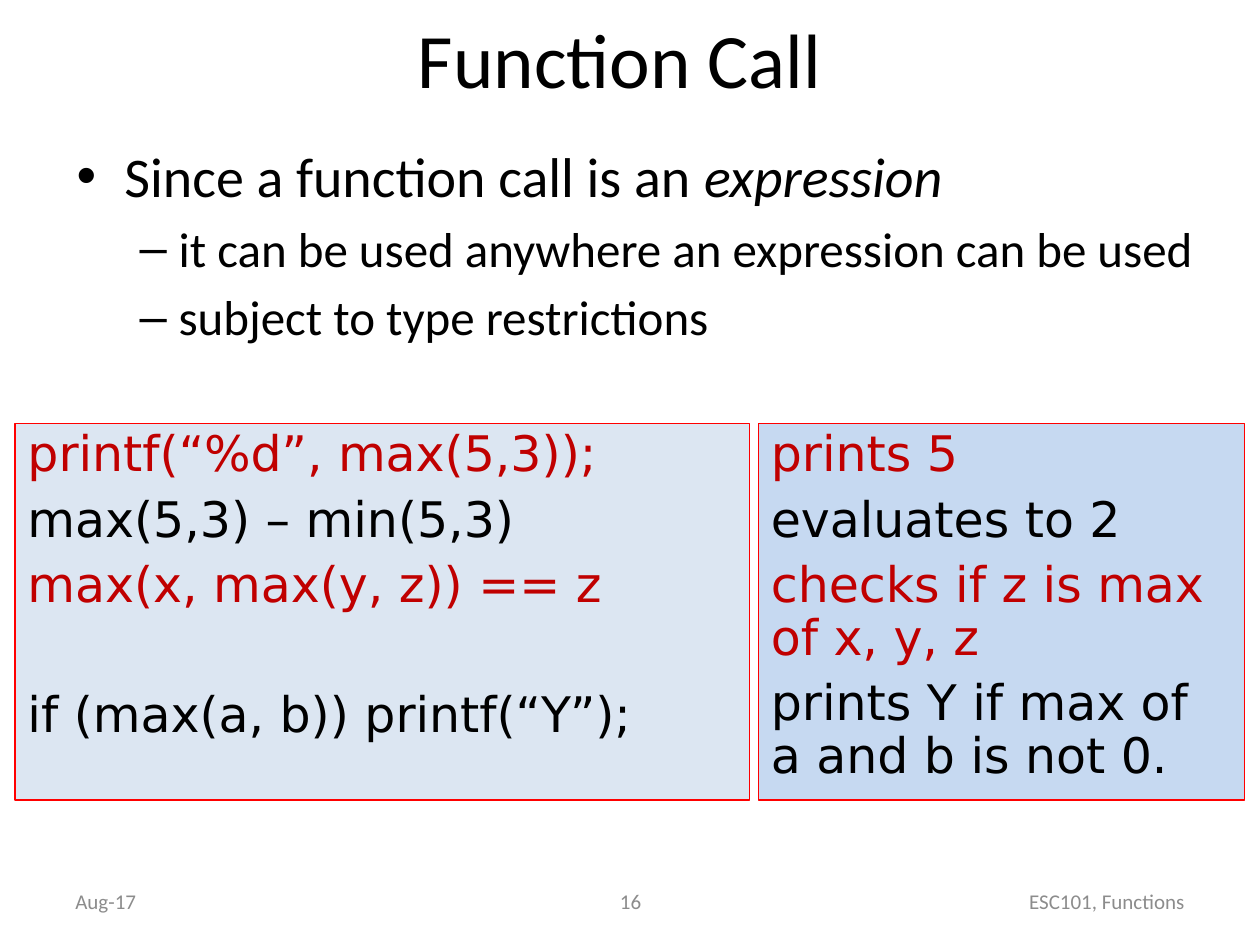
from lxml import etree
from pptx import Presentation
from pptx.dml.color import RGBColor
from pptx.enum.shapes import MSO_SHAPE
from pptx.enum.text import MSO_ANCHOR, PP_ALIGN
from pptx.oxml.ns import qn
from pptx.util import Inches, Pt

RECTANGLE = MSO_SHAPE.RECTANGLE
TOP, MIDDLE = MSO_ANCHOR.TOP, MSO_ANCHOR.MIDDLE
LEFT, CENTER, RIGHT = PP_ALIGN.LEFT, PP_ALIGN.CENTER, PP_ALIGN.RIGHT

BLACK = RGBColor(0x00, 0x00, 0x00)
GREY = RGBColor(0x8C, 0x8C, 0x8C)
RED = RGBColor(0xC0, 0x00, 0x00)
BORDER_RED = RGBColor(0xFF, 0x00, 0x00)
PALE_BLUE = RGBColor(0xDC, 0xE6, 0xF2)
SOFT_BLUE = RGBColor(0xC6, 0xD9, 0xF1)


class SlideBuilder:
    """Draws styled elements on one slide, placed in percent of its size."""

    body_font = "Calibri"
    code_font = "DejaVu Sans"
    code_size = 28

    def __init__(self, prs):
        self.width, self.height = prs.slide_width, prs.slide_height
        self.s = prs.slides.add_slide(prs.slide_layouts[6])

    def place(self, x, y, w, h):
        return [int(share * full / 100) for share, full in
                zip((x, y, w, h), (self.width, self.height) * 2)]

    def style(self, p, font, size, color):
        for r in p.runs:
            r.font.name = font
            r.font.size = Pt(size)
            r.font.color.rgb = color

    def frame(self, area, anchor=TOP):
        tf = self.s.shapes.add_textbox(*self.place(*area)).text_frame
        tf.word_wrap = True
        tf.vertical_anchor = anchor
        return tf

    def label(self, area, text, size, color, align):
        p = self.frame(area, MIDDLE).paragraphs[0]
        p.text = text
        p.alignment = align
        self.style(p, self.body_font, size, color)

    def bullets(self, area, items):
        tf = self.frame(area)
        for i, (level, text, emphasis) in enumerate(items):
            p = tf.add_paragraph() if i else tf.paragraphs[0]
            p.text = text
            if emphasis:
                r = p.add_run()
                r.text = emphasis
                r.font.italic = True
            size, margin, hang, mark = ((32, 0.38, 0.38, "•"), (28, 0.81, 0.31, "–"))[level]
            p.level = level
            p.space_before = Pt(0.2 * size if i else 0)
            pPr = p._p.get_or_add_pPr()
            pPr.set("marL", str(Inches(margin)))
            pPr.set("indent", str(-Inches(hang)))
            etree.SubElement(pPr, qn("a:buFont"), typeface="Arial")
            etree.SubElement(pPr, qn("a:buChar"), char=mark)
            self.style(p, self.body_font, size, BLACK)

    def panel(self, area, fill, lines):
        sp = self.s.shapes.add_shape(RECTANGLE, *self.place(*area))
        sp.shadow.inherit = False
        sp.fill.solid()
        sp.fill.fore_color.rgb = fill
        sp.line.color.rgb = BORDER_RED
        sp.line.width = Pt(0.75)
        tf = sp.text_frame
        tf.word_wrap = True
        tf.vertical_anchor = TOP
        for i, (text, gap) in enumerate(lines):
            p = tf.add_paragraph() if i else tf.paragraphs[0]
            p.text = text
            p.alignment = LEFT
            p.line_spacing = 0.9
            p.space_before = Pt(gap)
            self.style(p, self.code_font, self.code_size, BLACK if i % 2 else RED)


def main():
    prs = Presentation()
    prs.slide_width, prs.slide_height = Inches(10), Inches(7.5)
    slide = SlideBuilder(prs)

    slide.label((6.7, -0.4, 85, 13.07), "Function Call", 44, BLACK, CENTER)
    slide.bullets((5.1, 14.27, 91.3, 50.4), [
        (0, "Since a function call is an ", "expression"),
        (1, "it can be used anywhere an expression can be used", ""),
        (1, "subject to type restrictions", ""),
    ])

    panel_top, panel_height = 44.8, 39.87
    slide.panel((1.2, panel_top, 58.3, panel_height), PALE_BLUE, [
        ("printf(“%d”, max(5,3));", 0),
        ("max(5,3) – min(5,3)", 7),
        ("max(x, max(y, z)) == z", 7),
        ("if (max(a, b)) printf(“Y”);", 44),
    ])
    slide.panel((60.2, panel_top, 38.6, panel_height), SOFT_BLUE, [
        ("prints 5", 0),
        ("evaluates to 2", 7),
        ("checks if z is max of x, y, z", 7),
        ("prints Y if max of a and b is not 0.", 7),
    ])

    for x, w, text, align in (
        (5, 23.3, "Aug-17", LEFT),
        (71.7, 23.3, "ESC101, Functions", RIGHT),
        (34.2, 31.7, "16", CENTER),
    ):
        slide.label((x, 92.67, w, 5.33), text, 12, GREY, align)

    prs.save("out.pptx")


if __name__ == "__main__":
    main()
